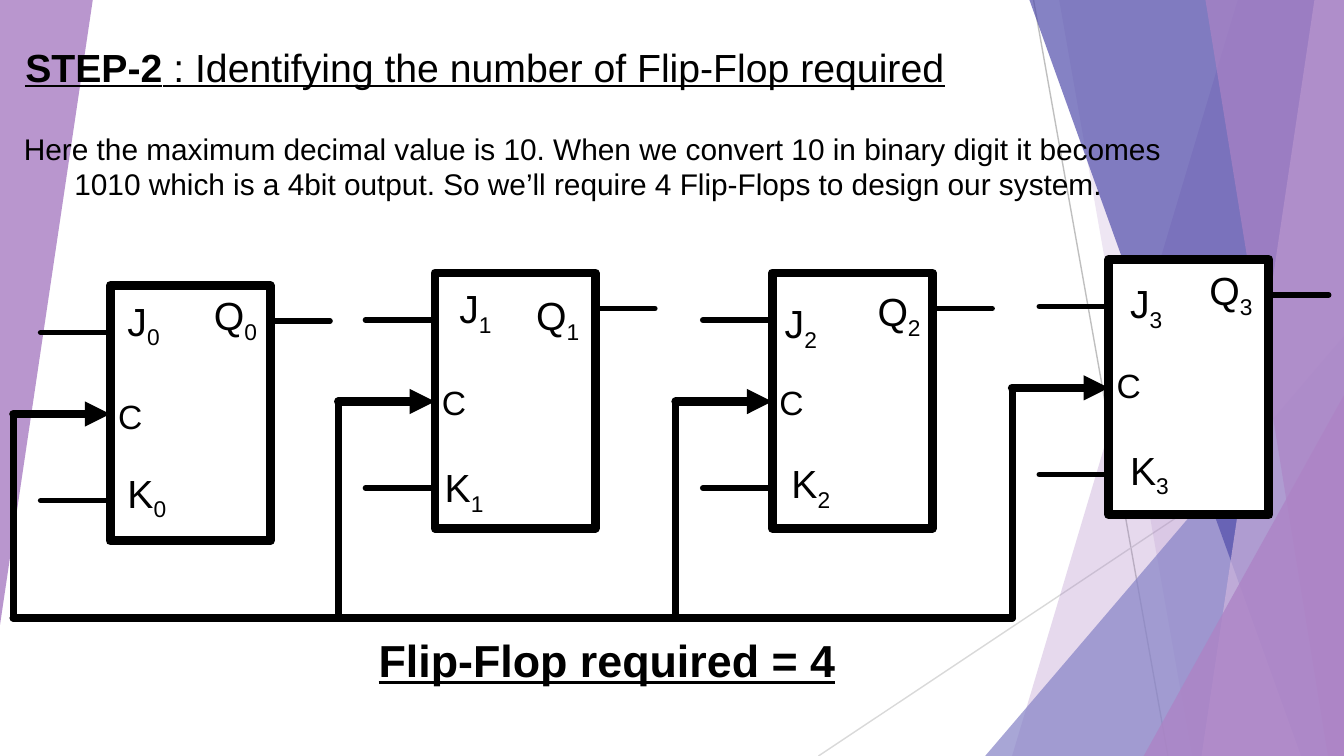
"""Build the slide that works out how many flip-flops the counter needs."""
import pptx
import pptx.dml.color
import pptx.enum.shapes
import pptx.enum.text
import pptx.oxml
import pptx.oxml.ns
import pptx.util

Pt = pptx.util.Pt
SHAPE = pptx.enum.shapes.MSO_SHAPE
ALIGN = pptx.enum.text.PP_ALIGN

THEME = {
    "font": "Arial", "ink": "000000", "paper": "FFFFFF",
    "mauve": "AD84C6", "lilac": "CEB5DD", "violet": "8784C7", "indigo": "524EAB",
    "ray": "BFBFBF", "pale_ray": "D9D9D9",
    "title": 21, "body": 16, "answer": 24, "pin": 21, "clock": 18,
    "box_line": 4.75, "pin_line": 3, "clock_line": 4.5, "riser_line": 3.75, "rail_line": 4.25,
    "ray_line": 0.75,
}
WIDTH, HEIGHT = 720, 405

TITLE = [("STEP-2", {"bold": True}), (" : Identifying the number of Flip-Flop required", {})]
EXPLANATION = [("Here the maximum decimal value is 10. When we convert 10 in binary digit it "
                "becomes 1010 which is a 4bit output. So we’ll require 4 Flip-Flops to design "
                "our system. ", {})]
ANSWER = [("Flip-Flop required = 4", {"bold": True})]

RAYS = [("ray", (553.7, 0), (625.7, HEIGHT)), ("pale_ray", (WIDTH, 217.5), (438.5, HEIGHT))]
SHARDS = [
    ("band", 663.1, 542.2, "mauve", 30),
    ("band", 567.4, 638.6, "mauve", 20),
    ("corner", 527.8, 180, "violet", 72),
    ("band", 551.5, 697, "indigo", 70),
    ("band", 704.2, 643.7, "lilac", 70),
    ("band", 645.8, 711.4, "mauve", 65),
    ("corner", 612.7, 211.7, "mauve", 80),
]
LEFT_SHARD = (0, 0, 49.7, 334.8)

FLIP_FLOPS = [
    {"box": (59, 153), "J": (61.2, 155.5), "Q": (107.5, 152.6), "K": (61.2, 247.7), "C": (56.2, 208.8)},
    {"box": (233, 146.3), "J": (239, 149), "Q": (280.1, 152.6), "K": (231.1, 244.8), "C": (229.7, 201.2)},
    {"box": (413.7, 146.3), "J": (413.3, 157), "Q": (463, 150.5), "K": (416.9, 242.6), "C": (410.4, 201)},
    {"box": (594, 139), "J": (598.3, 146.2), "Q": (640.8, 139), "K": (598.3, 235.4), "C": (591.1, 192.2)},
]
BOX_WIDTH, BOX_HEIGHT = 85.8, 136.8
J_DROP, Q_DROP, CLOCK_DROP, K_DROP = 25.2, 19, 68.8, 115.2
INPUT_LENGTH, OUTPUT_LENGTH, CLOCK_LENGTH = 37.2, 32, 51.8
RAIL_Y = 331.2


def rgb(name):
    return pptx.dml.color.RGBColor.from_string(THEME[name])


def add_text(slide, runs, left, top, width, height, size, align=ALIGN.LEFT,
             underline=False, wrap=True):
    box = slide.shapes.add_textbox(Pt(left), Pt(top), Pt(width), Pt(height))
    box.text_frame.word_wrap = wrap
    paragraph = box.text_frame.paragraphs[0]
    paragraph.alignment = align
    for words, style in runs:
        run = paragraph.add_run()
        run.text = words
        run.font.name = THEME["font"]
        run.font.size = Pt(THEME[size])
        run.font.color.rgb = rgb("ink")
        run.font.underline = underline
        run.font.bold = style.get("bold", False)
        if style.get("subscript"):
            run.font._element.set("baseline", "-25000")


def add_xml(parent, tag, **attributes):
    child = pptx.oxml.parse_xml(f"<a:{tag} {pptx.oxml.ns.nsdecls('a')}/>")
    for key, value in attributes.items():
        child.set(key, value)
    parent.append(child)


def add_wire(slide, start, end, weight, colour="ink", arrow=False):
    wire = slide.shapes.add_connector(
        pptx.enum.shapes.MSO_CONNECTOR.STRAIGHT, *map(Pt, start + end))
    wire.line.color.rgb = rgb(colour)
    wire.line.width = Pt(THEME[weight])
    stroke = wire.line._get_or_add_ln()
    stroke.set("cap", "rnd")
    add_xml(stroke, "round")
    if arrow:
        add_xml(stroke, "tailEnd", type="triangle")
    add_xml(wire._element.spPr, "effectLst")


def tint(shard, colour, opacity):
    shard.shadow.inherit = False
    shard.line.fill.background()
    shard.fill.solid()
    shard.fill.fore_color.rgb = rgb(colour)
    add_xml(shard.fill._xPr.solidFill[0], "alpha", val=str(opacity * 1000))


def add_corner(slide, left, top, width, height, colour, opacity, rotation=0):
    corner = slide.shapes.add_shape(
        SHAPE.ISOSCELES_TRIANGLE, Pt(left), Pt(top), Pt(width), Pt(height))
    corner.adjustments[0] = 1
    corner.rotation = rotation
    tint(corner, colour, opacity)


def add_band(slide, top_x, bottom_x, colour, opacity):
    outline = slide.shapes.build_freeform(Pt(top_x), 0, scale=1.0)
    outline.add_line_segments(
        [(Pt(x), Pt(y)) for x, y in ((WIDTH, 0), (WIDTH, HEIGHT), (bottom_x, HEIGHT))])
    tint(outline.convert_to_shape(), colour, opacity)


def add_backdrop(slide):
    for colour, start, end in RAYS:
        add_wire(slide, start, end, "ray_line", colour)
    for kind, first, second, colour, opacity in SHARDS:
        if kind == "band":
            add_band(slide, first, second, colour, opacity)
        else:
            add_corner(slide, first, second, WIDTH - first, HEIGHT - second, colour, opacity)
    add_corner(slide, *LEFT_SHARD, "mauve", 85, rotation=180)


def add_flip_flop(slide, number, flip_flop):
    left, top = flip_flop["box"]
    right, clock_x, clock_y = left + BOX_WIDTH, left - CLOCK_LENGTH, top + CLOCK_DROP
    body = slide.shapes.add_shape(SHAPE.RECTANGLE, Pt(left), Pt(top), Pt(BOX_WIDTH), Pt(BOX_HEIGHT))
    body.shadow.inherit = False
    body.fill.solid()
    body.fill.fore_color.rgb = rgb("paper")
    body.line.color.rgb = rgb("ink")
    body.line.width = Pt(THEME["box_line"])
    add_xml(body.line._get_or_add_ln(), "round")

    for drop in (J_DROP, K_DROP):
        add_wire(slide, (left - INPUT_LENGTH, top + drop), (left, top + drop), "pin_line")
    add_wire(slide, (right, top + Q_DROP), (right + OUTPUT_LENGTH, top + Q_DROP), "pin_line")
    add_wire(slide, (clock_x, clock_y), (left, clock_y), "clock_line", arrow=True)
    add_wire(slide, (clock_x, RAIL_Y), (clock_x, clock_y), "riser_line")

    for pin in "JQK":
        add_text(slide, [(pin, {}), (str(number), {"subscript": True})],
                 *flip_flop[pin], 48, 45, "pin")
    add_text(slide, [("C", {})], *flip_flop["C"], 27, 29, "clock", align=ALIGN.CENTER, wrap=False)


def main():
    deck = pptx.Presentation()
    deck.slide_width, deck.slide_height = Pt(WIDTH), Pt(HEIGHT)
    slide = deck.slides.add_slide(deck.slide_layouts[6])
    add_backdrop(slide)
    add_text(slide, TITLE, 6.5, 19.5, 676, 45, "title", underline=True)
    add_text(slide, ANSWER, 195.8, 335.5, 273.6, 49, "answer", underline=True)
    for number, flip_flop in enumerate(FLIP_FLOPS):
        add_flip_flop(slide, number, flip_flop)
    rail_start, rail_end = (FLIP_FLOPS[i]["box"][0] - CLOCK_LENGTH for i in (0, -1))
    add_wire(slide, (rail_start, RAIL_Y), (rail_end, RAIL_Y), "rail_line")
    add_text(slide, EXPLANATION, 0, 66.2, 635, 46, "body", align=ALIGN.CENTER)
    deck.save("out.pptx")


if __name__ == "__main__":
    main()
